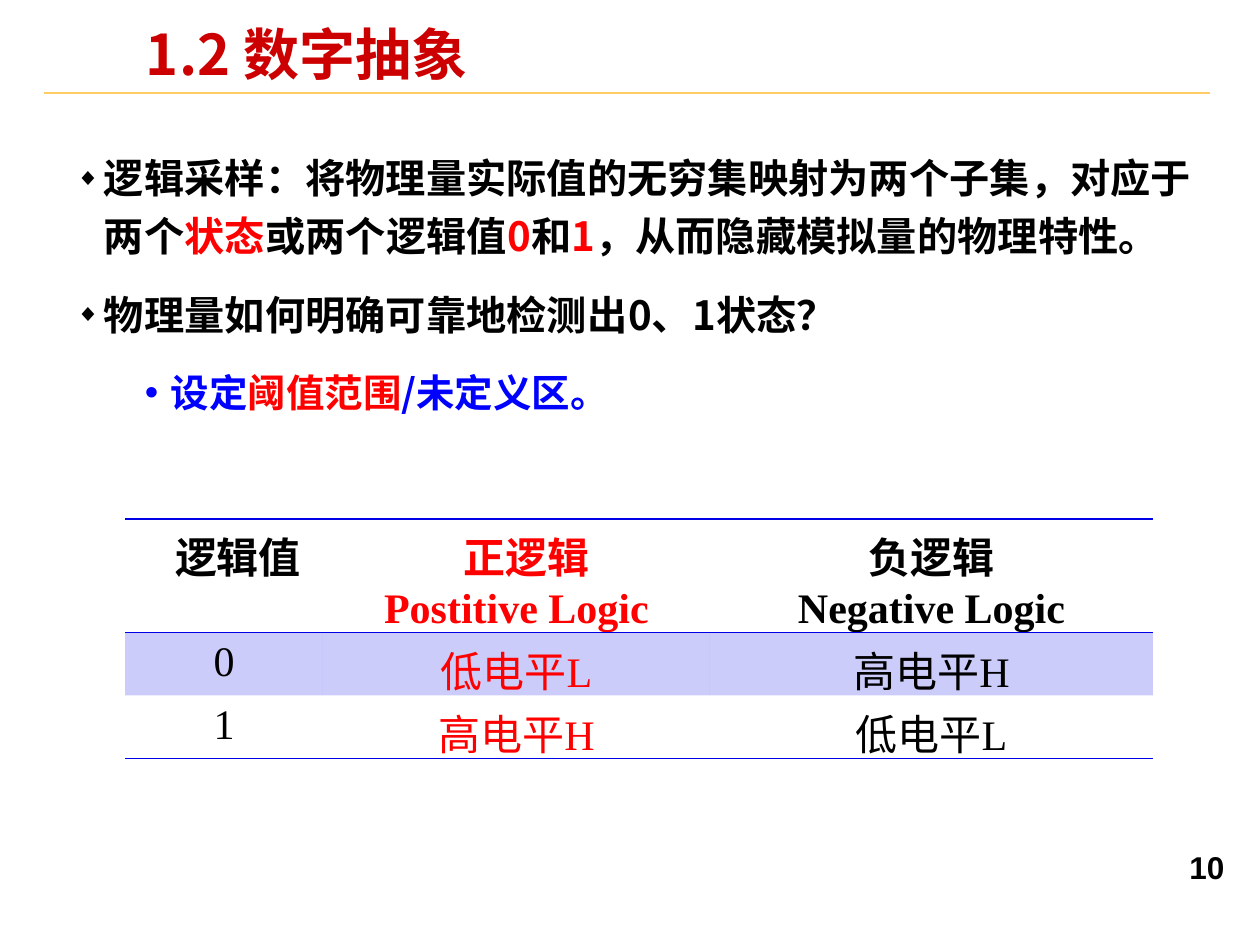
import pptx
import pptx.util
import pptx.dml.color
import pptx.enum.shapes
import pptx.enum.text
import pptx.oxml
import pptx.oxml.ns
from dataclasses import dataclass
from lxml import etree

qn = pptx.oxml.ns.qn
Align = pptx.enum.text.PP_ALIGN


@dataclass(frozen=True)
class Theme:
    black: str = "000000"
    red: str = "FF0000"
    blue: str = "0000FF"
    title: str = "CC0000"
    rule: str = "FFCC66"
    grid: str = "0000E7"
    sans: str = "Noto Sans CJK SC"
    serif: str = "Times New Roman"
    page: str = "Arial"
    head: int = 32
    text: int = 23
    sub: int = 22
    cell: int = 24
    foot: int = 18


def px(n):
    return pptx.util.Emu(round(n * 914400 / 126))


def rgb(code):
    return pptx.dml.color.RGBColor.from_string(code)


def add(node, tag, **attrs):
    return etree.SubElement(node, qn(tag), **attrs)


class Deck:
    def __init__(self, theme):
        self.theme = theme
        self.prs = pptx.Presentation()
        self.prs.slide_width, self.prs.slide_height = px(1260), px(945)
        self.slide = self.prs.slides.add_slide(self.prs.slide_layouts[1])

    def place(self, shape, left, top, width, height):
        shape.left, shape.top = px(left), px(top)
        shape.width, shape.height = px(width), px(height)

    def frame(self, shape):
        frame = shape.text_frame
        frame.word_wrap = True
        frame.auto_size = pptx.enum.text.MSO_AUTO_SIZE.NONE
        frame.vertical_anchor = pptx.enum.text.MSO_ANCHOR.TOP
        frame.margin_left = frame.margin_right = px(9)
        frame.margin_top = frame.margin_bottom = px(4)
        return frame

    def fill(self, para, runs, size, face, bold=True, align=Align.LEFT):
        para.alignment = align
        for text, color in runs:
            run = para.add_run()
            run.text = text
            run.font.color.rgb = rgb(color)
        for font in [para.font] + [run.font for run in para.runs]:
            font.size, font.name, font.bold = pptx.util.Pt(size), face, bold
        for run in para.runs:
            add(run._r.get_or_add_rPr(), "a:ea", typeface=self.theme.sans)

    def title(self, text, *box):
        shape = self.slide.shapes.title
        self.place(shape, *box)
        para = self.frame(shape).paragraphs[0]
        para.line_spacing = 0.87
        self.fill(para, [(text, self.theme.title)], self.theme.head, self.theme.sans)

    def bullet(self, para, char, color, scale, left, hang):
        props = para._p.get_or_add_pPr()
        props.set("marL", str(px(left)))
        props.set("indent", str(-px(hang)))
        add(add(props, "a:buClr"), "a:srgbClr", val=color)
        add(props, "a:buSzPct", val=str(scale * 1000))
        add(props, "a:buFont", typeface=self.theme.page)
        add(props, "a:buChar", char=char)

    def body(self, items, *box):
        shape = self.slide.placeholders[1]
        self.place(shape, *box)
        frame, look = self.frame(shape), self.theme
        for i, (level, runs) in enumerate(items):
            para = frame.add_paragraph() if i else frame.paragraphs[0]
            para.level = level
            para.line_spacing = 1.2
            para.space_before = pptx.util.Pt(12)
            if level:
                self.bullet(para, "•", look.blue, 100, 95, 26)
            else:
                self.bullet(para, "◆", look.black, 60, 28, 28)
            self.fill(para, runs, look.sub if level else look.text, look.sans)

    def line(self, left, top, right):
        kind = pptx.enum.shapes.MSO_CONNECTOR.STRAIGHT
        line = self.slide.shapes.add_connector(kind, px(left), px(top), px(right), px(top))
        line.line.color.rgb = rgb(self.theme.rule)
        line.line.width = pptx.util.Pt(1)
        add(line._element.spPr, "a:effectLst")

    def label(self, text, *box):
        shape = self.slide.shapes.add_textbox(*map(px, box))
        shape.text_frame.word_wrap = True
        self.fill(shape.text_frame.paragraphs[0], [(text, self.theme.black)],
                  self.theme.foot, self.theme.page)

    def border(self, cell, sides):
        props = cell._tc.get_or_add_tcPr()
        for side in "LRTB":
            edge = add(props, "a:ln" + side, w=str(pptx.util.Pt(1)))
            if side in sides:
                add(add(edge, "a:solidFill"), "a:srgbClr", val=self.theme.grid)
            else:
                add(edge, "a:noFill")

    def shade(self, cell, on):
        if not on:
            cell.fill.background()
            return
        cell.fill.solid()
        cell.fill.fore_color.rgb = rgb(self.theme.grid)
        tint = cell._tc.tcPr.find(qn("a:solidFill")).find(qn("a:srgbClr"))
        add(tint, "a:alpha", val="20000")

    def table(self, rows, inks, shifts, cols, highs, left, top):
        shape = self.slide.shapes.add_table(len(rows), len(cols), px(left), px(top),
                                            px(sum(cols)), px(sum(highs)))
        grid = shape.table
        grid.first_row = grid.horz_banding = False
        for col, width in zip(grid.columns, cols):
            col.width = px(width)
        for row, high in zip(grid.rows, highs):
            row.height = px(high)
        edges = ["TB", "T", "B"]
        for r, row in enumerate(rows):
            for c, lines in enumerate(row):
                cell = grid.cell(r, c)
                self.border(cell, edges[r])
                self.shade(cell, r == 1)
                for i, text in enumerate(lines):
                    frame = cell.text_frame
                    para = frame.add_paragraph() if i else frame.paragraphs[0]
                    if r == 0 and i == 0:
                        para._p.get_or_add_pPr().set("marL", str(px(shifts[c])))
                    self.fill(para, [(text, inks[c])], self.theme.cell,
                              self.theme.serif, r == 0, Align.CENTER)


def main():
    look = Theme()
    deck = Deck(look)
    black, red, blue = look.black, look.red, look.blue
    deck.line(44, 93, 1210)
    deck.title("1.2 数字抽象", 137, 25, 898, 102)
    deck.body([
        (0, [("逻辑采样：将物理量实际值的无穷集映射为两个子集，对应于两个", black),
             ("状态", red), ("或两个逻辑值", black), ("0", red), ("和", black),
             ("1", red), ("，从而隐藏模拟量的物理特性。", black)]),
        (0, [("物理量如何明确可靠地检测出0、1状态？", black)]),
        (1, [("设定", blue), ("阈值范围", red), ("/未定义区。", blue)]),
    ], 67, 140, 1171, 284)
    deck.label("10", 1177, 842, 69, 45)
    deck.table([
        [["逻辑值"], ["正逻辑", "Postitive Logic"], ["负逻辑", "Negative Logic"]],
        [["0"], ["低电平L"], ["高电平H"]],
        [["1"], ["高电平H"], ["低电平L"]],
    ], [black, red, black], [28, 20, 0], [198, 387, 443], [113, 63, 63], 125, 519)
    deck.prs.save("out.pptx")


if __name__ == "__main__":
    main()
